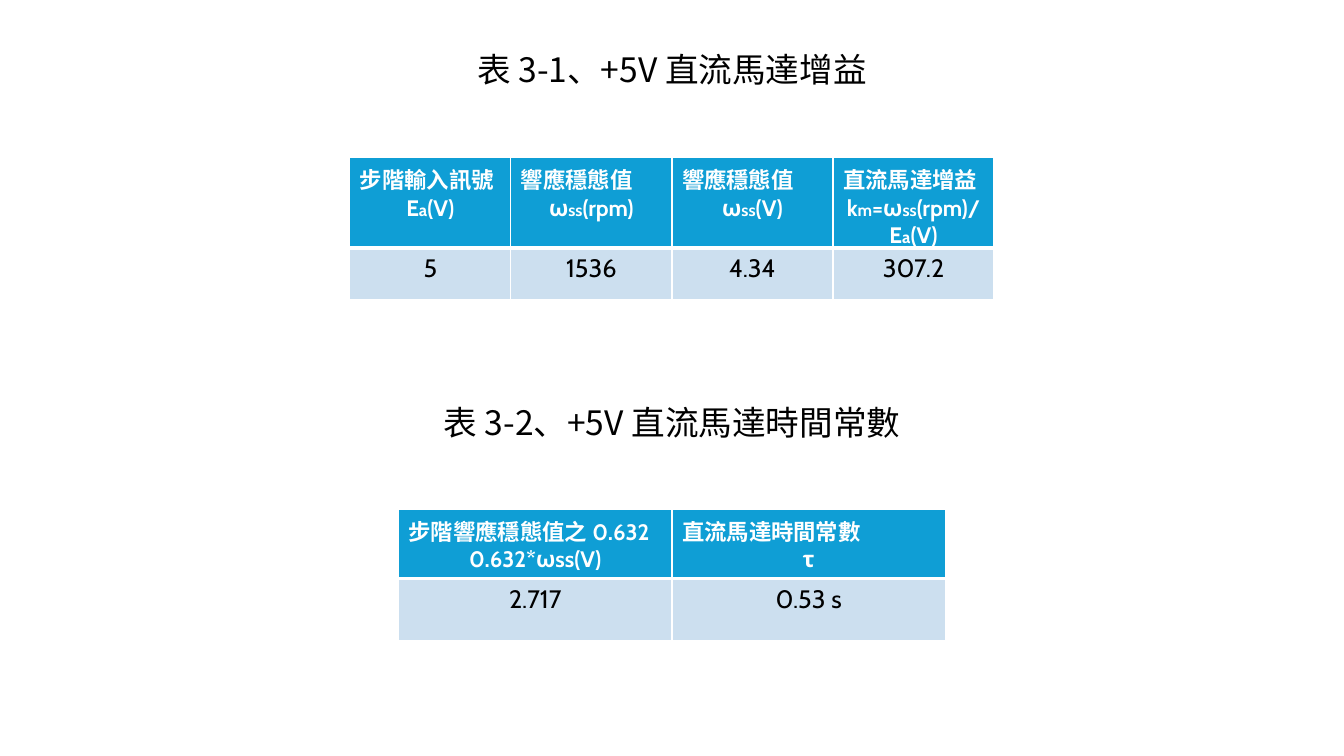
from pptx import Presentation
from pptx.dml.color import RGBColor
from pptx.enum.text import PP_ALIGN
from pptx.oxml import parse_xml
from pptx.oxml.ns import nsdecls
from pptx.util import Cm, Pt

TITLE_FONT, TABLE_FONT = "Noto Sans CJK SC", "Cabin"
WHITE, BLACK, HEADER_BLUE, BODY_BLUE = "FFFFFF", "000000", "0F9ED5", "CCDFEF"
SLIDE_WIDTH, SLIDE_HEIGHT = 33.87, 19.05

# Subscripts stand between bars.
SECTIONS = [
    {
        "title": "表 3-1、+5V 直流馬達增益",
        "title_top": 1.12, "title_width": 11.66,
        "table_top": 3.97, "column_width": 4.06, "row_heights": (1.88, 1.29),
        "headers": [
            ("步階輸入訊號", "E|a|(V)"),
            ("響應穩態值", "ω|ss|(rpm)"),
            ("響應穩態值", "ω|ss|(V)"),
            ("直流馬達增益", "k|m|=ω|ss|(rpm)/E|a|(V)"),
        ],
        "values": ["5", "1536", "4.34", "307.2"],
    },
    {
        "title": "表 3-2、+5V 直流馬達時間常數",
        "title_top": 10.01, "title_width": 16.94,
        "table_top": 12.83, "column_width": 6.89, "row_heights": (1.75, 1.55),
        "headers": [
            ("步階響應穩態值之 0.632", "0.632*ωss(V)"),
            ("直流馬達時間常數", "τ"),
        ],
        "values": ["2.717", "0.53 s"],
    },
]


def color(hex_string):
    return RGBColor.from_string(hex_string)


def format_run(run, size, font, hex_string, bold=False):
    run.font.size = Pt(size)
    run.font.name = font
    run.font.bold = bold
    run.font.color.rgb = color(hex_string)


def add_title(slide, text, top, width):
    box = slide.shapes.add_textbox(
        Cm((SLIDE_WIDTH - width) / 2), Cm(top), Cm(width), Cm(1.28))
    box.text_frame.word_wrap = True
    box.text_frame.text = text
    paragraph = box.text_frame.paragraphs[0]
    paragraph.alignment = PP_ALIGN.CENTER
    run = paragraph.runs[0]
    format_run(run, 24, TITLE_FONT, BLACK)
    run.font._element.append(
        parse_xml(f'<a:ea {nsdecls("a")} typeface="{TITLE_FONT}"/>'))


def style_cell(cell, fill, bottom_width):
    cell.fill.solid()
    cell.fill.fore_color.rgb = color(fill)
    widths = {"lnL": 1, "lnR": 1, "lnT": 1, "lnB": bottom_width}
    if fill == BODY_BLUE:
        widths["lnT"] = 3
    properties = cell._tc.get_or_add_tcPr()
    for index, (side, width) in enumerate(widths.items()):
        properties.insert(index, parse_xml(
            f'<a:{side} {nsdecls("a")} w="{Pt(width)}"><a:solidFill>'
            f'<a:srgbClr val="{WHITE}"/></a:solidFill></a:{side}>'))


def fill_header(cell, name, symbol):
    style_cell(cell, HEADER_BLUE, 3)
    cell.text_frame.text = name
    name_paragraph = cell.text_frame.paragraphs[0]
    name_paragraph.alignment = PP_ALIGN.LEFT
    format_run(name_paragraph.runs[0], 16, TABLE_FONT, WHITE, True)
    symbol_paragraph = cell.text_frame.add_paragraph()
    symbol_paragraph.alignment = PP_ALIGN.CENTER
    for index, part in enumerate(symbol.split("|")):
        run = symbol_paragraph.add_run()
        run.text = part
        format_run(run, 12 if index % 2 else 16, TABLE_FONT, WHITE, True)


def fill_value(cell, value):
    style_cell(cell, BODY_BLUE, 1)
    cell.text_frame.text = value
    paragraph = cell.text_frame.paragraphs[0]
    paragraph.alignment = PP_ALIGN.CENTER
    format_run(paragraph.runs[0], 18, TABLE_FONT, BLACK)


def add_data_table(slide, section):
    count = len(section["values"])
    width = count * section["column_width"]
    heights = section["row_heights"]
    table = slide.shapes.add_table(
        2, count, Cm((SLIDE_WIDTH - width) / 2), Cm(section["table_top"]),
        Cm(width), Cm(sum(heights))).table
    for row, height in zip(table.rows, heights):
        row.height = Cm(height)
    for index, column in enumerate(table.columns):
        column.width = Cm(section["column_width"])
        fill_header(table.cell(0, index), *section["headers"][index])
        fill_value(table.cell(1, index), section["values"][index])


def main():
    presentation = Presentation()
    presentation.slide_width = Cm(SLIDE_WIDTH)
    presentation.slide_height = Cm(SLIDE_HEIGHT)
    slide = presentation.slides.add_slide(presentation.slide_layouts[6])
    for section in SECTIONS:
        add_title(slide, section["title"], section["title_top"], section["title_width"])
        add_data_table(slide, section)
    presentation.save("out.pptx")


if __name__ == "__main__":
    main()
